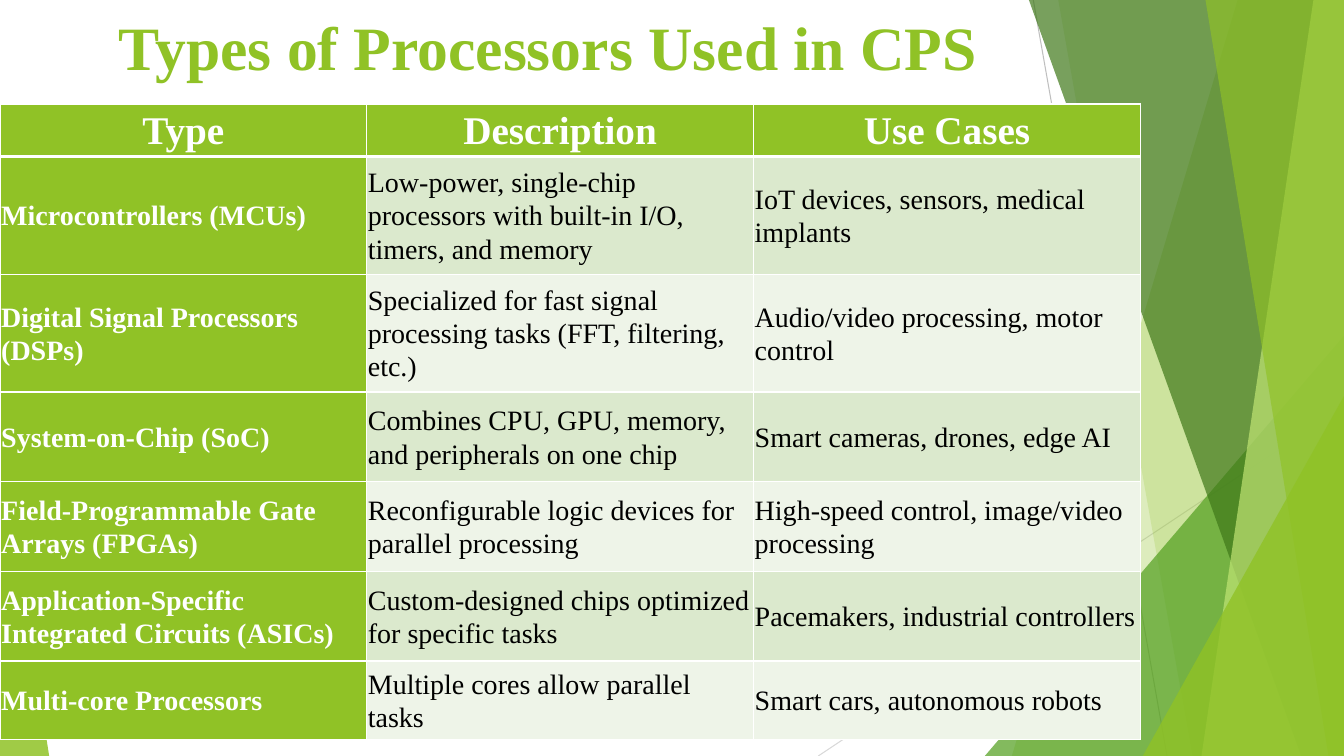
import lxml.etree
import pptx
import pptx.dml.color
import pptx.enum.shapes
import pptx.enum.text
import pptx.oxml
import pptx.oxml.ns
import pptx.util
from pptx.util import Cm

FONT = "Times New Roman"
WIDTH, HEIGHT = 33.87, 19.05
COLORS = {
    "green": "90C226",
    "leaf": "54A021",
    "forest": "3F7819",
    "lime": "C0E474",
    "odd_row": "DBE9CD",
    "even_row": "EEF4E8",
    "white": "FFFFFF",
    "black": "000000",
    "gray": "BFBFBF",
    "light_gray": "D9D9D9",
}
LINES = [
    (26.04, 0, 29.41, HEIGHT, "gray"),
    (WIDTH, 10.24, 20.62, HEIGHT, "light_gray"),
]
BACK_BANDS = [(31.19, 25.5, "green", 30), (26.67, 30.05, "green", 20)]
FRONT_BANDS = [
    (25.93, 32.79, "forest", 70),
    (33.1, 30.28, "lime", 70),
    (30.38, 33.48, "green", 65),
]
BACK_TRIANGLE = (24.82, 8.46, 9.05, 1, "leaf", 72)
FRONT_TRIANGLES = [
    (28.8, 9.98, 5.07, 1, "green", 80),
    (0, 11.15, 1.24, 0, "green", 85),
]
COLUMN_WIDTHS = [9.24, 9.75, 9.75]
ROW_HEIGHTS = [1.32, 2.97, 2.97, 2.26, 2.26, 2.26, 1.98]
PROCESSORS = [
    ("Type", "Description", "Use Cases"),
    ("Microcontrollers (MCUs)",
     "Low-power, single-chip processors with built-in I/O, timers, and memory",
     "IoT devices, sensors, medical implants"),
    ("Digital Signal Processors (DSPs)",
     "Specialized for fast signal processing tasks (FFT, filtering, etc.)",
     "Audio/video processing, motor control"),
    ("System-on-Chip (SoC)",
     "Combines CPU, GPU, memory, and peripherals on one chip",
     "Smart cameras, drones, edge AI"),
    ("Field-Programmable Gate Arrays (FPGAs)",
     "Reconfigurable logic devices for parallel processing",
     "High-speed control, image/video processing"),
    ("Application-Specific Integrated Circuits (ASICs)",
     "Custom-designed chips optimized for specific tasks",
     "Pacemakers, industrial controllers"),
    ("Multi-core Processors",
     "Multiple cores allow parallel tasks",
     "Smart cars, autonomous robots"),
]


def rgb(name):
    """Return the named colour."""
    return pptx.dml.color.RGBColor.from_string(COLORS[name])


def add_line(slide, x1, y1, x2, y2, color):
    """Draw a thin background line."""
    connector = slide.shapes.add_connector(
        pptx.enum.shapes.MSO_CONNECTOR.STRAIGHT, Cm(x1), Cm(y1), Cm(x2), Cm(y2))
    connector.line.color.rgb = rgb(color)
    connector.line.width = pptx.util.Pt(0.75)
    lxml.etree.SubElement(connector.element.spPr, pptx.oxml.ns.qn("a:effectLst"))


def paint(shape, color, opacity):
    """Give a shape a translucent fill without outline or shadow."""
    shape.shadow.inherit = False
    shape.line.fill.background()
    shape.fill.solid()
    shape.fill.fore_color.rgb = rgb(color)
    color_element = shape.element.spPr.find(".//" + pptx.oxml.ns.qn("a:srgbClr"))
    alpha = lxml.etree.SubElement(color_element, pptx.oxml.ns.qn("a:alpha"))
    alpha.set("val", str(opacity * 1000))


def add_band(slide, top_x, bottom_x, color, opacity):
    """Draw a full-height band from a slanted edge to the right side."""
    builder = slide.shapes.build_freeform(Cm(top_x), 0)
    builder.add_line_segments([
        (Cm(WIDTH), 0), (Cm(WIDTH), Cm(HEIGHT)), (Cm(bottom_x), Cm(HEIGHT))])
    paint(builder.convert_to_shape(), color, opacity)


def add_triangle(slide, left, top, width, apex, color, opacity):
    """Draw a triangle standing on the bottom edge of the slide."""
    triangle = slide.shapes.add_shape(
        pptx.enum.shapes.MSO_SHAPE.ISOSCELES_TRIANGLE,
        Cm(left), Cm(top), Cm(width), Cm(HEIGHT - top))
    triangle.adjustments[0] = apex
    paint(triangle, color, opacity)


def format_text(paragraph, size, color, bold):
    """Format every run of a paragraph."""
    for run in paragraph.runs:
        run.font.name = FONT
        run.font.size = pptx.util.Pt(size)
        run.font.bold = bold
        run.font.color.rgb = rgb(color)


def add_title(slide, text):
    """Fill the title placeholder and bring it in front of the background."""
    title = slide.shapes.title
    title.left, title.top, title.width, title.height = Cm(1.88), Cm(0), Cm(23.88), Cm(2.31)
    title.text_frame.text = text
    title.text_frame.vertical_anchor = pptx.enum.text.MSO_ANCHOR.MIDDLE
    paragraph = title.text_frame.paragraphs[0]
    paragraph.alignment = pptx.enum.text.PP_ALIGN.CENTER
    format_text(paragraph, 44, "green", True)
    slide.shapes.element.append(title.element)


def set_borders(cell, top, bottom):
    """Draw white borders, with the top and bottom widths in points."""
    properties = cell._tc.get_or_add_tcPr()
    for side, points in (("L", 1), ("R", 1), ("T", top), ("B", bottom)):
        properties.append(pptx.oxml.parse_xml(
            f'<a:ln{side} {pptx.oxml.ns.nsdecls("a")} w="{pptx.util.Pt(points)}">'
            f'<a:solidFill><a:srgbClr val="{COLORS["white"]}"/></a:solidFill></a:ln{side}>'))


def format_cell(cell, row, column):
    """Style a cell according to its place in the table."""
    is_header = row == 0
    is_label = is_header or column == 0
    cell.vertical_anchor = pptx.enum.text.MSO_ANCHOR.MIDDLE
    cell.margin_left = cell.margin_right = cell.margin_top = cell.margin_bottom = Cm(0.03)
    set_borders(cell, 3 if row == 1 else 1, 3 if is_header else 1)
    cell.fill.solid()
    body_color = "odd_row" if row % 2 else "even_row"
    cell.fill.fore_color.rgb = rgb("green" if is_label else body_color)
    paragraph = cell.text_frame.paragraphs[0]
    paragraph.line_spacing = 1.07
    if is_header:
        paragraph.alignment = pptx.enum.text.PP_ALIGN.CENTER
    format_text(paragraph, 28 if is_header else 20, "white" if is_label else "black", is_label)


def add_processor_table(slide):
    """Add the table of processor types."""
    table = slide.shapes.add_table(
        len(PROCESSORS), len(COLUMN_WIDTHS), Cm(0), Cm(2.62),
        Cm(sum(COLUMN_WIDTHS)), Cm(sum(ROW_HEIGHTS))).table
    for column, width in zip(table.columns, COLUMN_WIDTHS):
        column.width = Cm(width)
    for row, height in zip(table.rows, ROW_HEIGHTS):
        row.height = Cm(height)
    for row_index, texts in enumerate(PROCESSORS):
        for column_index, text in enumerate(texts):
            cell = table.cell(row_index, column_index)
            cell.text_frame.text = text
            format_cell(cell, row_index, column_index)


def main():
    """Build and save the slide."""
    presentation = pptx.Presentation()
    presentation.slide_width, presentation.slide_height = Cm(WIDTH), Cm(HEIGHT)
    slide = presentation.slides.add_slide(presentation.slide_layouts[5])
    for line in LINES:
        add_line(slide, *line)
    for band in BACK_BANDS:
        add_band(slide, *band)
    add_triangle(slide, *BACK_TRIANGLE)
    for band in FRONT_BANDS:
        add_band(slide, *band)
    for triangle in FRONT_TRIANGLES:
        add_triangle(slide, *triangle)
    add_title(slide, "Types of Processors Used in CPS")
    add_processor_table(slide)
    presentation.save("out.pptx")


if __name__ == "__main__":
    main()
